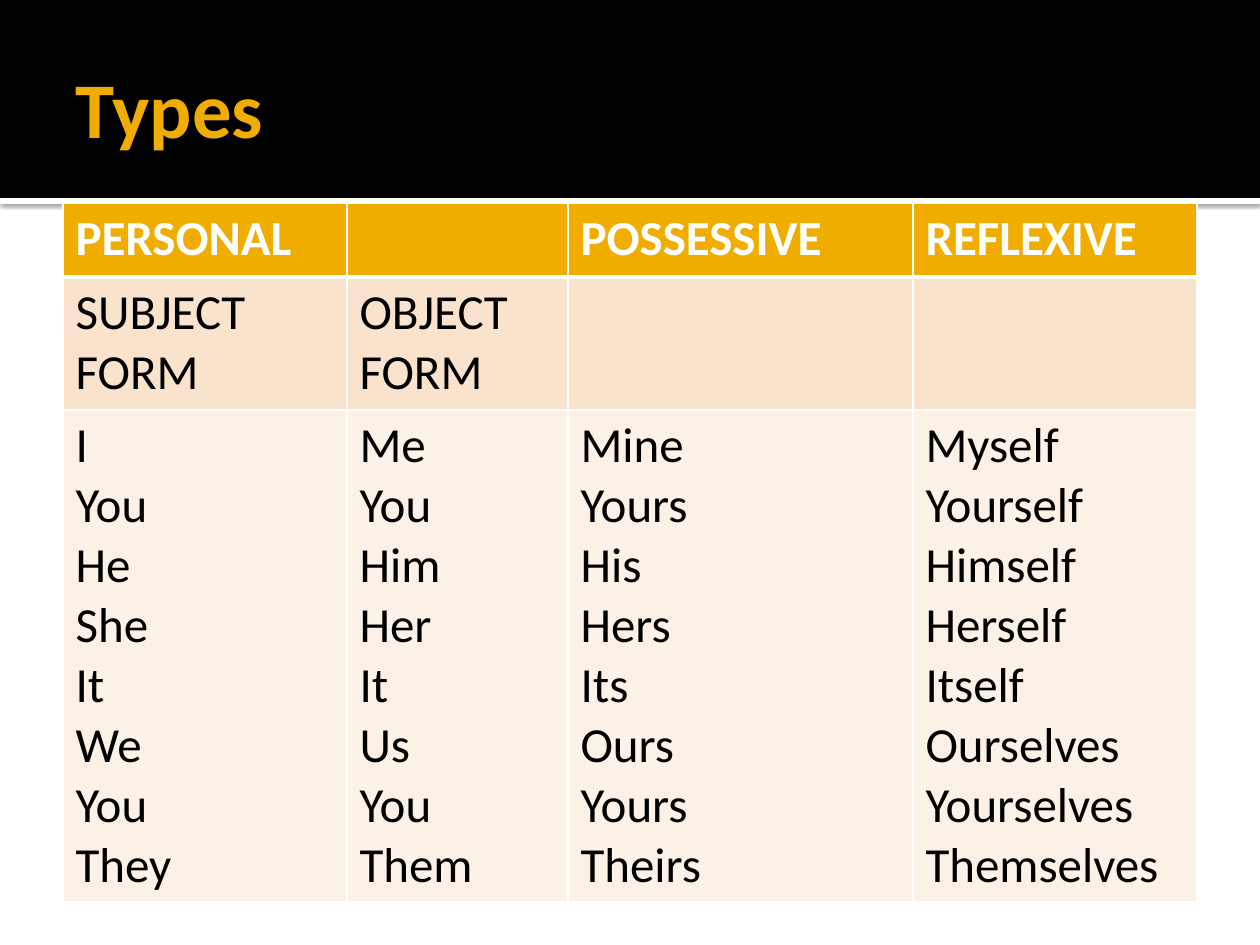
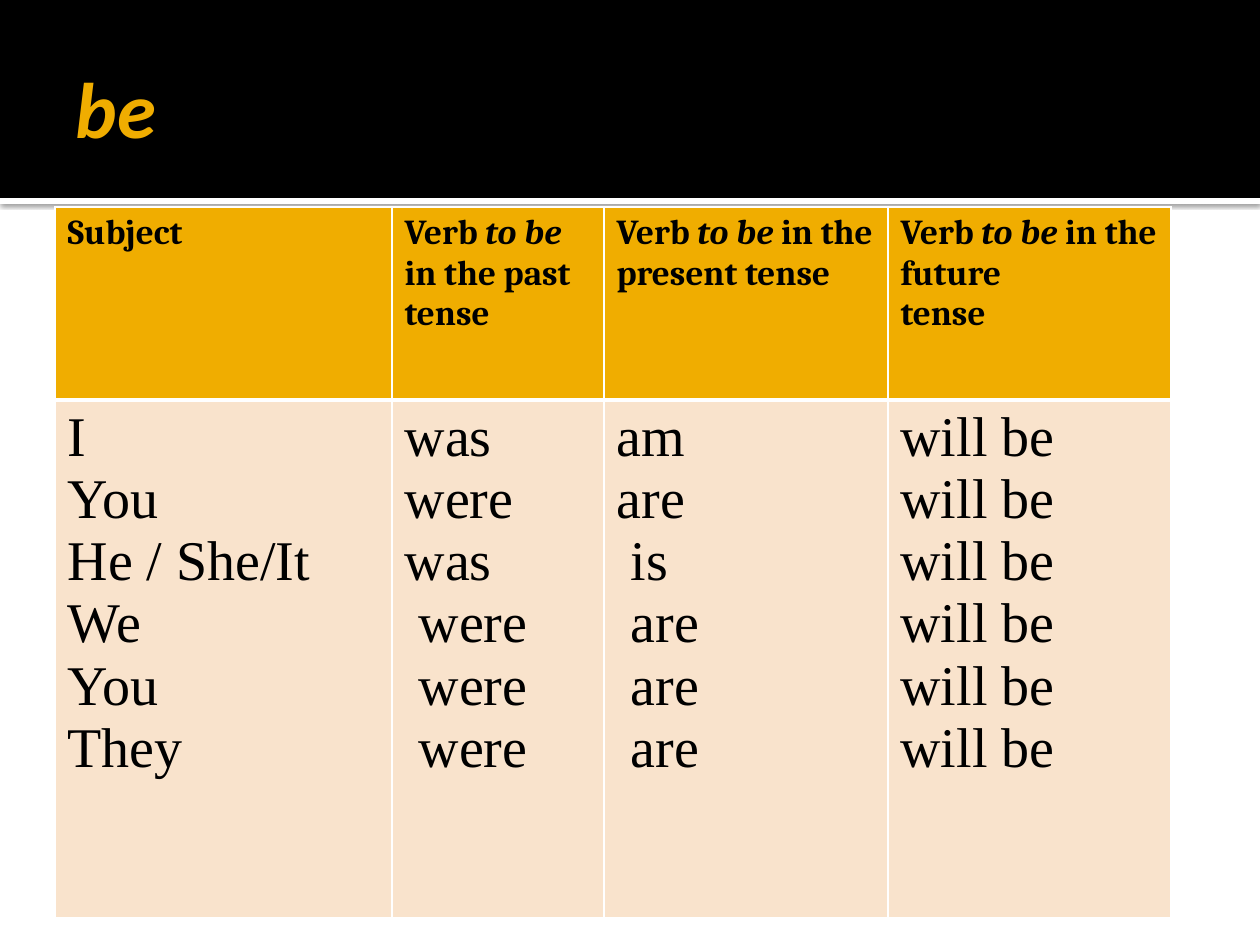
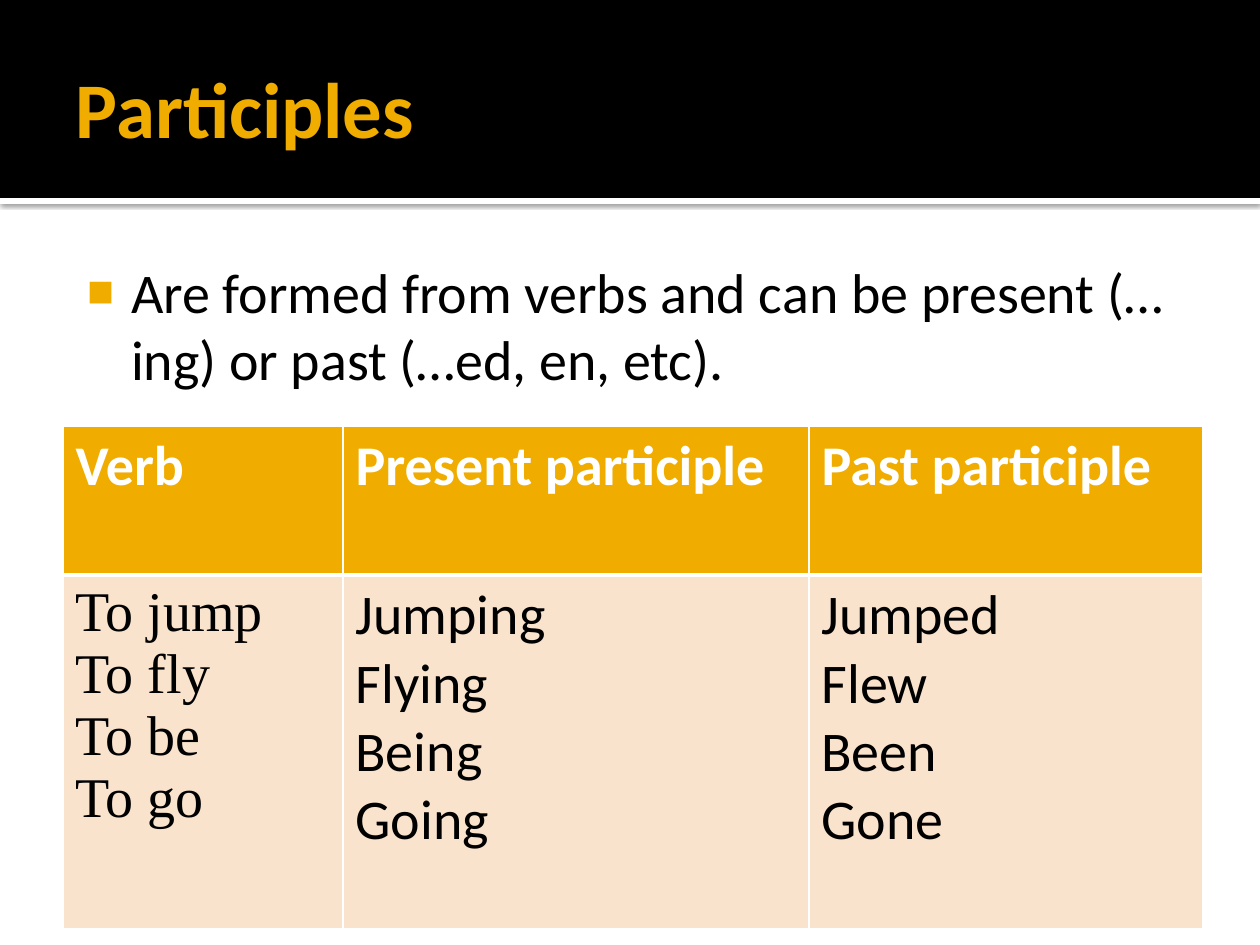
from lxml import etree
from pptx import Presentation
from pptx import util as u
from pptx.dml.color import RGBColor
from pptx.enum import shapes, text
from pptx.oxml.ns import qn

BLACK = RGBColor(0x00, 0x00, 0x00)
WHITE = RGBColor(0xFF, 0xFF, 0xFF)
GOLD = RGBColor(0xF0, 0xAD, 0x00)
PEACH = RGBColor(0xF9, 0xE3, 0xCC)
CREAM = RGBColor(0xFC, 0xF1, 0xE7)

SANS = "Calibri"
SERIF = "Cambria"
ROMAN = "Times New Roman"

PX_PER_INCH = 126
TITLE_BOX = (63, 21, 1134, 173)
BODY_BOX = (63, 244, 1134, 638)
TITLE_AND_CONTENT, TITLE_ONLY = 1, 5


def px(n):
    return u.Emu(round(n * 914400 / PX_PER_INCH))


def sub(parent, tag, **attrs):
    return etree.SubElement(parent, qn(tag), {k: str(v) for k, v in attrs.items()})


def write(tf, paragraphs, size=32, font=SANS, color=BLACK, bold=False,
          indent_from=None, bullet=None):
    """Text between asterisks is italic."""
    for i, line in enumerate(paragraphs):
        p = tf.paragraphs[0] if i == 0 else tf.add_paragraph()
        p.alignment = text.PP_ALIGN.LEFT
        p.space_before = u.Pt(0)
        pPr = p._p.get_or_add_pPr()
        if indent_from is not None and i >= indent_from:
            pPr.set("marL", str(px(14)))
        if bullet:
            pPr.set("marL", str(px(60)))
            pPr.set("indent", str(px(-44)))
            sub(sub(pPr, "a:buClr"), "a:srgbClr", val=GOLD)
            sub(pPr, "a:buSzPct", val=80000)
            sub(pPr, "a:buChar", char=bullet)
        for n, piece in enumerate(line.split("*")):
            if piece:
                r = p.add_run()
                r.text = piece
                r.font.size = u.Pt(size)
                r.font.name = font
                r.font.color.rgb = color
                r.font.bold = bold
                r.font.italic = n % 2 == 1


def place(sp, box, margins, anchor):
    sp.left, sp.top, sp.width, sp.height = map(px, box)
    tf = sp.text_frame
    tf.word_wrap = True
    tf.auto_size = text.MSO_AUTO_SIZE.NONE
    tf.vertical_anchor = anchor
    tf.margin_left, tf.margin_top, tf.margin_right, tf.margin_bottom = map(px, margins)
    return tf


def add_band(s, box, color):
    sp = s.shapes.add_shape(shapes.MSO_SHAPE.RECTANGLE, *map(px, box))
    sp.shadow.inherit = False
    sp.fill.solid()
    sp.fill.fore_color.rgb = color
    sp.line.fill.background()
    return sp


def add_header_to_master(prs, s):
    strip = add_band(s, (0, 198, 1260, 6), WHITE)
    effects = strip._element.spPr.find(qn("a:effectLst"))
    shadow = sub(effects, "a:outerShdw", blurRad=u.Pt(2.5), dist=u.Pt(0.8),
                 dir=5400000, algn="tl", rotWithShape=0)
    sub(sub(shadow, "a:srgbClr", val=BLACK), "a:alpha", val=60000)
    header = add_band(s, (0, 0, 1260, 198), BLACK)
    tree = prs.slide_master.shapes.element
    for i, sp in enumerate((strip, header)):
        tree.insert(2 + i, sp.element)


def add_slide(prs, title, layout=TITLE_ONLY):
    s = prs.slides.add_slide(prs.slide_layouts[layout])
    tf = place(s.shapes.title, TITLE_BOX, (13, 6, 6, 6), text.MSO_ANCHOR.MIDDLE)
    write(tf, [title], size=45, color=GOLD, bold=True)
    return s


def style_cell(cell, color, top, bottom):
    tcPr = cell._tc.get_or_add_tcPr()
    for side, width in (("L", 1), ("R", 1), ("T", top), ("B", bottom)):
        ln = sub(tcPr, f"a:ln{side}", w=u.Pt(width))
        sub(sub(ln, "a:solidFill"), "a:srgbClr", val=WHITE)
    cell.fill.solid()
    cell.fill.fore_color.rgb = color


def add_grid(s, left, top, widths, heights):
    box = (left, top, sum(widths), sum(heights))
    frame = s.shapes.add_table(len(heights), len(widths), *map(px, box))
    table = frame.table
    table.horz_banding = False
    for column, width in zip(table.columns, widths):
        column.width = px(width)
    for i, (row, height) in enumerate(zip(table.rows, heights)):
        row.height = px(height)
        for cell in row.cells:
            style_cell(cell, (GOLD, PEACH, CREAM)[i],
                       3 if i == 1 else 1, 3 if i == 0 else 1)
    return table


def fill_row(table, row, cells, **fmt):
    for cell, lines in zip(table.rows[row].cells, cells):
        if lines:
            write(cell.text_frame, lines.split("\n"), **fmt)


def types_slide(s):
    table = add_grid(s, 63, 203, (284, 221, 345, 284), (74, 133, 491))
    fill_row(table, 0, ("PERSONAL", "", "POSSESSIVE", "REFLEXIVE"),
             size=28, color=WHITE, bold=True)
    fill_row(table, 1, ("SUBJECT FORM", "OBJECT FORM"), size=28)
    fill_row(table, 2, (
        "I\nYou\nHe\nShe\nIt\nWe\nYou\nThey",
        "Me\nYou\nHim\nHer\nIt\nUs\nYou\nThem",
        "Mine\nYours\nHis\nHers\nIts\nOurs\nYours\nTheirs",
        "Myself\nYourself\nHimself\nHerself\nItself\nOurselves\nYourselves\nThemselves",
    ), size=28)


def be_slide(s):
    table = add_grid(s, 55, 207, (337, 212, 284, 283), (193, 518))
    fill_row(table, 0, (
        "Subject",
        "Verb *to be *in the past tense",
        "Verb *to be *in the present tense",
        "Verb *to be *in the future\ntense",
    ), size=20, font=SERIF, bold=True)
    columns = (
        ("I\nYou\nHe / She/It\nWe\nYou\nThey", None),
        ("was\nwere\nwas\nwere\nwere\nwere", 3),
        ("am\nare\nis\nare\nare\nare", 2),
        ("\n".join(["will be"] * 6), None),
    )
    for cell, (lines, indent_from) in zip(table.rows[1].cells, columns):
        write(cell.text_frame, lines.split("\n"), font=ROMAN, indent_from=indent_from)


def participles_slide(s):
    tf = place(s.placeholders[1], BODY_BOX, (8, 13, 13, 6), text.MSO_ANCHOR.TOP)
    write(tf, ["Are formed from verbs and can be present (…ing) or past (…ed, en, etc)."],
          bullet="■")
    table = add_grid(s, 63, 426, (280, 466, 394), (149, 354))
    fill_row(table, 0, ("Verb", "Present participle", "Past participle"),
             color=WHITE, bold=True)
    fill_row(table, 1, ("", "Jumping\nFlying\nBeing\nGoing", "Jumped\nFlew\nBeen\nGone"))
    fill_row(table, 1, ("To jump\nTo fly\nTo be\nTo go",), font=ROMAN)


def main():
    prs = Presentation()
    prs.slide_width, prs.slide_height = px(1260), px(945)
    s = add_slide(prs, "Types")
    add_header_to_master(prs, s)
    types_slide(s)
    be_slide(add_slide(prs, "*be*"))
    participles_slide(add_slide(prs, "Participles", TITLE_AND_CONTENT))
    prs.save("out.pptx")


if __name__ == "__main__":
    main()
